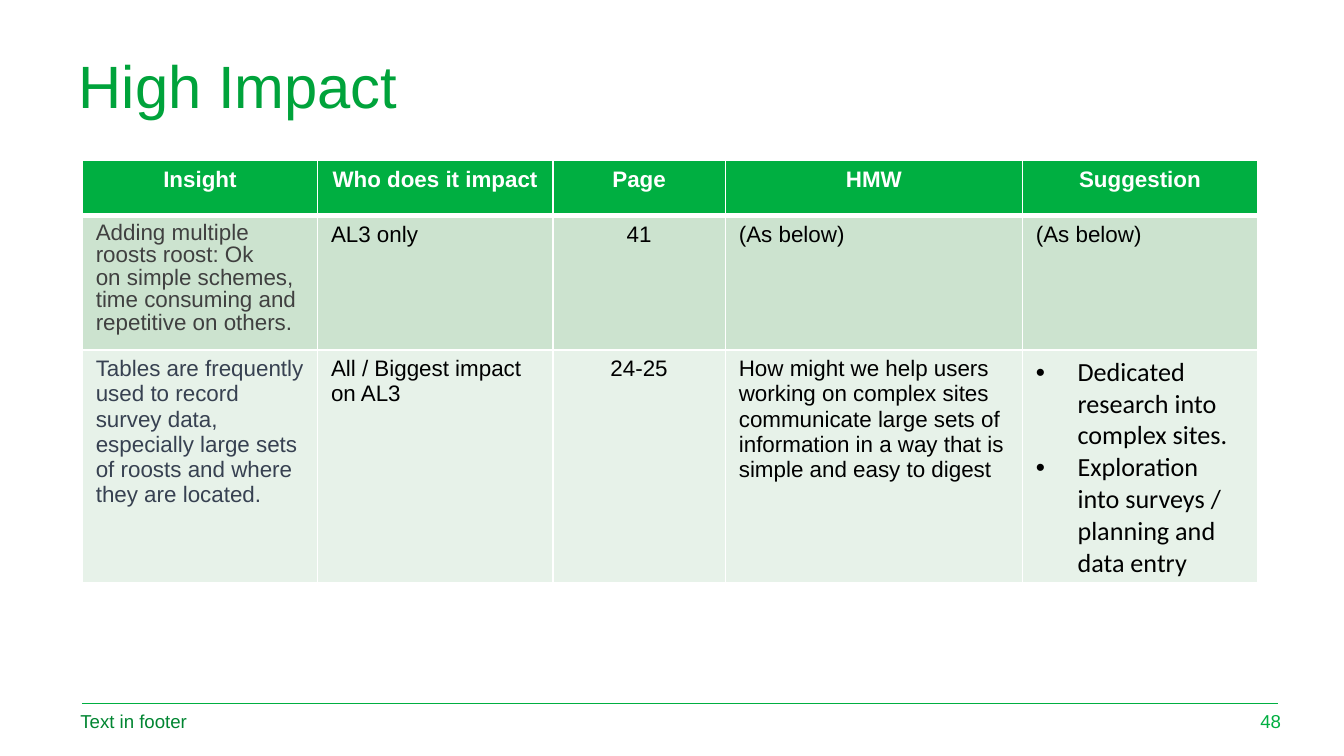
from lxml import etree
from pptx import Presentation
from pptx.dml.color import RGBColor
from pptx.enum import shapes, text
from pptx.oxml import parse_xml
from pptx.oxml.ns import nsdecls, qn
from pptx.util import Inches, Pt

COLOURS = {
    "title": "00A33B",
    "green": "00AF41",
    "footer": "008531",
    "white": "FFFFFF",
    "black": "000000",
    "grey": "404040",
    "slate": "374151",
    "band": "CCE3CF",
    "pale": "E7F2E9",
}
ALIGN = text.PP_ALIGN
ANCHOR = text.MSO_ANCHOR
HARD_SPACE = chr(160)

deck = Presentation()
deck.slide_width = Inches(10)
deck.slide_height = deck.slide_width * 9 // 16
column = deck.slide_width / 100
row = deck.slide_height / 100
page = deck.slides.add_slide(deck.slide_layouts[5])


def write(frame, *lines, size=12, font="Arial", colour="black", bold=False,
          align=ALIGN.LEFT, spacing=None, before=None, bullet=None):
    frame.word_wrap = True
    for index, line in enumerate(lines):
        para = frame.paragraphs[0] if index == 0 else frame.add_paragraph()
        para.alignment = align
        if spacing:
            para.line_spacing = spacing
        if before:
            para.space_before = Pt(before)
        span = para.add_run()
        span.text = line.replace("~", HARD_SPACE)
        span.font.size = Pt(size)
        span.font.name = font
        span.font.bold = bold
        span.font.color.rgb = RGBColor.from_string(COLOURS[colour])
        if bullet:
            properties = para._p.get_or_add_pPr()
            indent = Inches(0.31)
            properties.set("marL", str(indent))
            properties.set("indent", str(-indent))
            etree.SubElement(properties, qn("a:buFont")).set("typeface", "Arial")
            etree.SubElement(properties, qn("a:buChar")).set("char", bullet)


def border(cell, **widths):
    properties = cell._tc.get_or_add_tcPr()
    for index, (side, width) in enumerate(widths.items()):
        properties.insert(index, parse_xml(
            f'<a:ln{side} {nsdecls("a")} w="{Pt(width)}"><a:solidFill>'
            f'<a:srgbClr val="{COLOURS["white"]}"/></a:solidFill></a:ln{side}>'))


rule = page.shapes.add_connector(
    shapes.MSO_CONNECTOR.STRAIGHT,
    int(6.1 * column), int(93.1 * row), int(95.1 * column), int(93.1 * row))
rule.line.color.rgb = RGBColor.from_string(COLOURS["green"])
rule.line.width = Pt(0.5)
etree.SubElement(rule._element.spPr, qn("a:effectLst"))

title = page.shapes.title
title.left, title.top = int(4.85 * column), int(6.7 * row)
title.width, title.height = int(90.4 * column), int(7.1 * row)
title.text_frame.auto_size = text.MSO_AUTO_SIZE.NONE
title.text_frame.vertical_anchor = ANCHOR.TOP
write(title.text_frame, "High Impact", size=32, colour="title", spacing=0.9)

for words, left, width, colour, align in [
    ("Text in footer", 5, 62.1, "footer", ALIGN.LEFT),
    ("48", 91.8, 4.5, "green", ALIGN.RIGHT),
]:
    box = page.shapes.add_textbox(
        int(left * column), int(92.7 * row), int(width * column), int(5.3 * row))
    box.text_frame.vertical_anchor = ANCHOR.MIDDLE
    write(box.text_frame, words, size=10, colour=colour, align=align)

widths = [17.5, 17.5, 12.85, 22.1, 17.5]
height = 7.3
fills = ["green", "band", "pale"]
rows = [
    ["Insight", "Who does it impact", "Page", "HMW", "Suggestion"],
    ["Adding multiple roosts roost: Ok on~simple~schemes, time~consuming and repetitive~on~others.",
     "AL3 only", "41", "(As below)", "(As below)"],
    ["Tables are frequently used to record survey data, especially~large sets of roosts and where they are located.",
     "All / Biggest impact on AL3", "24-25",
     "How might we help users working on complex sites communicate large sets of information in a way that is simple and easy to digest",
     ["Dedicated research into complex sites.",
      "Exploration into surveys / planning and data entry"]],
]
formats = {
    (1, 0): dict(colour="grey", spacing=0.9, before=10),
    (2, 0): dict(colour="slate"),
    (2, 4): dict(size=14, font="Calibri", bullet="•"),
}
header = dict(colour="white", bold=True, align=ALIGN.CENTER)

table = page.shapes.add_table(
    len(rows), len(widths), int(6.13 * column), int(21.2 * row),
    int(sum(widths) * column), int(len(rows) * height * row)).table
for index, width in enumerate(widths):
    table.columns[index].width = int(width * column)
for down, words in enumerate(rows):
    table.rows[down].height = int(height * row)
    for across, entry in enumerate(words):
        cell = table.cell(down, across)
        cell.fill.solid()
        cell.fill.fore_color.rgb = RGBColor.from_string(COLOURS[fills[down]])
        border(cell, L=1, R=1, T=3 if down == 1 else 1, B=3 if down == 0 else 1)
        style = header if down == 0 else formats.get((down, across), {})
        if across == 2:
            style = {**style, "align": ALIGN.CENTER}
        lines = entry if isinstance(entry, list) else [entry]
        write(cell.text_frame, *lines, **style)

deck.save("out.pptx")
